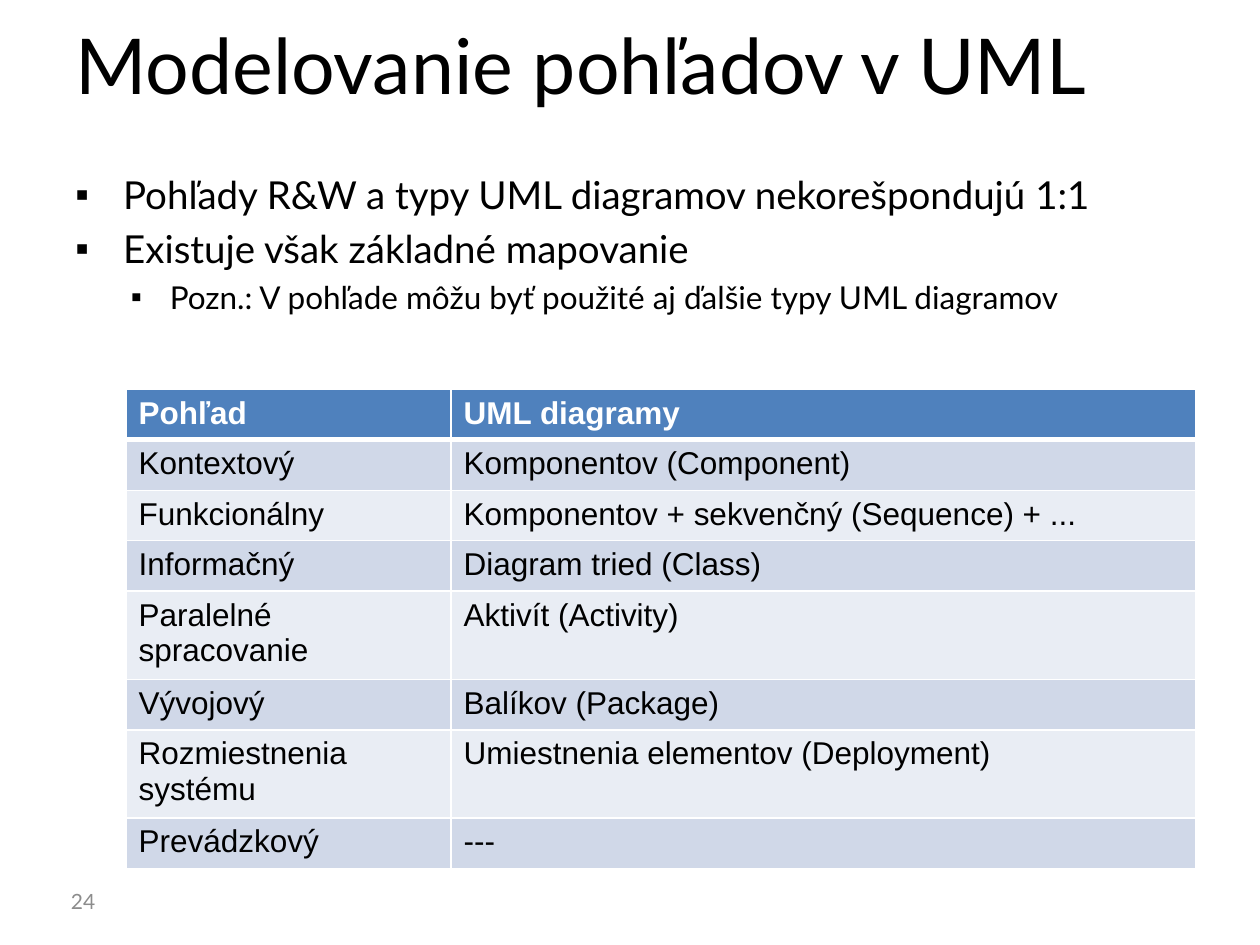
from dataclasses import dataclass

from lxml.etree import SubElement
from pptx import Presentation
from pptx.dml.color import RGBColor
from pptx.enum.text import MSO_ANCHOR, PP_ALIGN
from pptx.oxml.ns import qn
from pptx.util import Inches, Pt


@dataclass(frozen=True)
class Theme:
    text_font: str = "Lato"
    table_font: str = "Arial"
    ink: str = "000000"
    white: str = "FFFFFF"
    muted: str = "8C8C8C"
    header: str = "4F81BD"
    bands: tuple = ("D0D8E8", "E9EDF4")
    title_size: int = 44
    level_sizes: tuple = (22, 18)
    table_size: int = 18
    number_size: int = 12


THEME = Theme()
LEVEL_INDENTS = ((0.38, 0.38), (0.75, 0.31))  # left margin, hanging bullet
ROW_HEIGHT, TALL_ROW_HEIGHT = 0.38, 0.66

TITLE = "Modelovanie pohľadov v UML"
BULLETS = [
    (0, "Pohľady R&W a typy UML diagramov nekorešpondujú 1:1"),
    (0, "Existuje však základné mapovanie"),
    (1, "Pozn.: V pohľade môžu byť použité aj ďalšie typy UML diagramov"),
]
VIEWS = [
    ("Pohľad", "UML diagramy"),
    ("Kontextový", "Komponentov (Component)"),
    ("Funkcionálny", "Komponentov + sekvenčný (Sequence) + ..."),
    ("Informačný", "Diagram tried (Class)"),
    ("Paralelné spracovanie", "Aktivít (Activity)\u00a0"),
    ("Vývojový", "Balíkov (Package)"),
    ("Rozmiestnenia systému", "Umiestnenia elementov (Deployment)"),
    ("Prevádzkový", "---"),
]
TWO_LINE_ROWS = (4, 6)


def style_font(font, name, size, color, bold=False):
    font.name, font.size, font.bold = name, Pt(size), bold
    font.color.rgb = RGBColor.from_string(color)


def add_text_frame(page, box, anchor=MSO_ANCHOR.TOP):
    frame = page.shapes.add_textbox(*map(Inches, box)).text_frame
    frame.word_wrap = True
    frame.vertical_anchor = anchor
    return frame


def add_line(page, box, text, size, color, align=PP_ALIGN.LEFT):
    frame = add_text_frame(page, box, MSO_ANCHOR.MIDDLE)
    frame.text = text
    para = frame.paragraphs[0]
    para.alignment = align
    style_font(para.runs[0].font, THEME.text_font, size, color)


def add_bullets(page, box, items):
    frame = add_text_frame(page, box)
    for index, (level, text) in enumerate(items):
        para = frame.add_paragraph() if index else frame.paragraphs[0]
        para.text = text
        para.level = level
        size = THEME.level_sizes[level]
        para.space_before = Pt(0.2 * size if index else 0)
        # Hanging square bullet
        margin, hanging = LEVEL_INDENTS[level]
        properties = para._p.get_or_add_pPr()
        properties.set("marL", str(Inches(margin)))
        properties.set("indent", str(-Inches(hanging)))
        SubElement(properties, qn("a:buFont"), typeface="Arial")
        SubElement(properties, qn("a:buChar"), char="▪")
        style_font(para.runs[0].font, THEME.text_font, size, THEME.ink)


def set_borders(cell, bottom_width):
    properties = cell._tc.get_or_add_tcPr()
    widths = {"a:lnL": 1, "a:lnR": 1, "a:lnT": 1, "a:lnB": bottom_width}
    for position, (side, width) in enumerate(widths.items()):
        line = SubElement(properties, qn(side), w=str(Pt(width)))
        fill = SubElement(line, qn("a:solidFill"))
        SubElement(fill, qn("a:srgbClr"), val=THEME.white)
        properties.insert(position, line)  # borders precede the fill


def add_view_table(page, box, rows, first_column_share):
    left, top, width, height = map(Inches, box)
    table = page.shapes.add_table(len(rows), 2, left, top, width, height).table
    table.columns[0].width = int(width * first_column_share)
    table.columns[1].width = width - table.columns[0].width
    for row, texts in enumerate(rows):
        tall = row in TWO_LINE_ROWS
        table.rows[row].height = Inches(TALL_ROW_HEIGHT if tall else ROW_HEIGHT)
        is_header = row == 0
        fill = THEME.header if is_header else THEME.bands[(row - 1) % 2]
        color = THEME.white if is_header else THEME.ink
        for column, text in enumerate(texts):
            cell = table.cell(row, column)
            cell.text_frame.text = text
            run = cell.text_frame.paragraphs[0].runs[0]
            style_font(run.font, THEME.table_font, THEME.table_size, color, is_header)
            cell.fill.solid()
            cell.fill.fore_color.rgb = RGBColor.from_string(fill)
            set_borders(cell, 3 if is_header else 1)


def main():
    deck = Presentation()
    deck.slide_width, deck.slide_height = Inches(10), Inches(7.5)
    page = deck.slides.add_slide(deck.slide_layouts[6])

    # Title and bullets
    add_line(page, (0.5, 0.08, 8.41, 0.86), TITLE, THEME.title_size, THEME.ink)
    add_bullets(page, (0.5, 1.31, 9, 5.39), BULLETS)
    # Page number
    add_line(page, (0.39, 6.95, 0.54, 0.4), "24", THEME.number_size,
             THEME.muted, PP_ALIGN.CENTER)
    # Mapping of views to diagrams
    tall = len(TWO_LINE_ROWS)
    table_height = (len(VIEWS) - tall) * ROW_HEIGHT + tall * TALL_ROW_HEIGHT
    add_view_table(page, (1, 3.09, 8.49, table_height), VIEWS, 2.58 / 8.49)

    deck.save("out.pptx")


if __name__ == "__main__":
    main()
